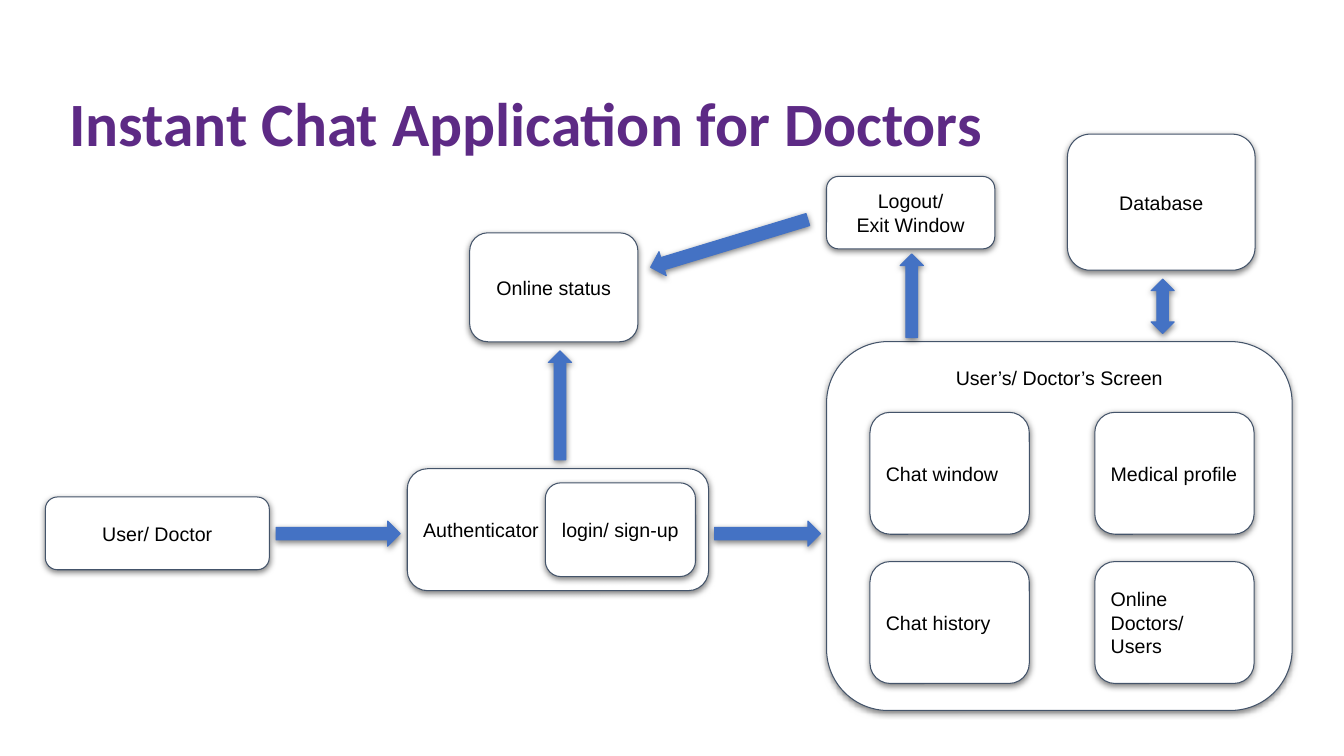
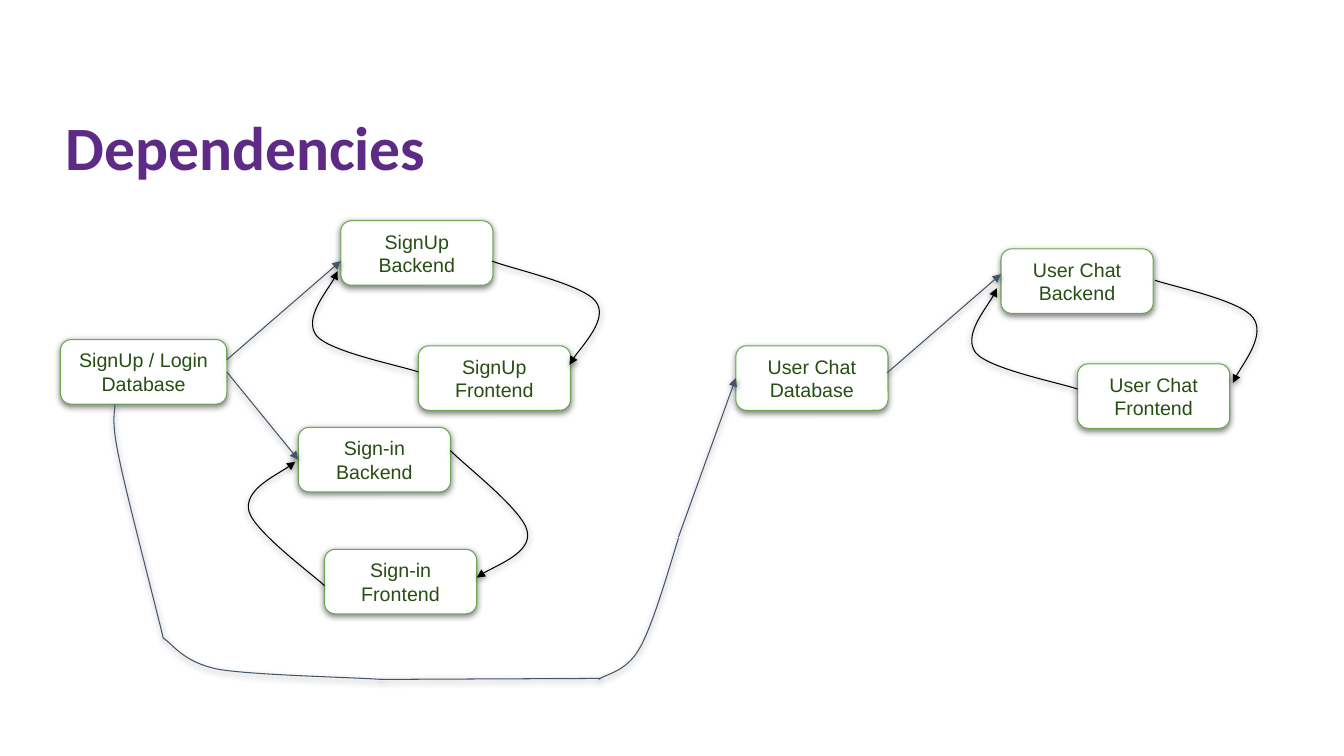
from lxml import etree
from pptx import Presentation
from pptx.dml.color import RGBColor
from pptx.enum.shapes import MSO_CONNECTOR, MSO_SHAPE
from pptx.enum.text import MSO_ANCHOR, PP_ALIGN
from pptx.oxml import parse_xml
from pptx.oxml.ns import nsdecls, qn
from pptx.util import Pt

LEFT, CENTER = PP_ALIGN.LEFT, PP_ALIGN.CENTER
TOP, MIDDLE, BOTTOM = MSO_ANCHOR.TOP, MSO_ANCHOR.MIDDLE, MSO_ANCHOR.BOTTOM
ROUNDED, RECTANGLE = MSO_SHAPE.ROUNDED_RECTANGLE, MSO_SHAPE.RECTANGLE
RIGHT_ARROW, LEFT_ARROW = MSO_SHAPE.RIGHT_ARROW, MSO_SHAPE.LEFT_ARROW
UP_ARROW, UP_DOWN_ARROW = MSO_SHAPE.UP_ARROW, MSO_SHAPE.UP_DOWN_ARROW
STRAIGHT = MSO_CONNECTOR.STRAIGHT
LEFT_SIDE, RIGHT_SIDE = 1, 3

WHITE, BLACK, PURPLE = "FFFFFF", "000000", "5D2A85"
SLATE, BLUE = "44546A", "4472C4"
GREEN, DARK_GREEN = "6AA84F", "274E13"

# Application slide: text, (left, top, width, height), alignment
SCREEN_PANEL = (590.4, 244, 332.6, 263.5)
SCREEN_CAPTION = ("User’s/ Doctor’s Screen", (632.2, 254.2, 249, 31.7))
APPLICATION_BOXES = [
    ("User/ Doctor", (32.4, 355, 160, 52), CENTER),
    ("Database", (762.5, 95.8, 134, 97.2), CENTER),
    ("Online status", (335.5, 166.3, 120.2, 77.8), CENTER),
    ("Logout/\nExit Window", (590.4, 126, 120.2, 51.8), CENTER),
]
AUTHENTICATOR_GROUP = [
    ("Authenticator", (290.9, 334.8, 215.3, 87.1), LEFT),
    ("login/ sign-up", (389.5, 344.9, 107.3, 67), CENTER),
]
SCREEN_PARTS = [
    ["Chat window", "Medical profile"],
    ["Chat history", "Online Doctors/\nUsers"],
]
PART_LEFT, PART_TOP, PART_WIDTH, PART_HEIGHT = 621.4, 294.5, 113.8, 87.1
PART_STEP_X, PART_STEP_Y = 160.6, 106.6
BLOCK_ARROWS = [
    (RIGHT_ARROW, (197.3, 372.2, 88.6, 18), 0),
    (UP_ARROW, (391.7, 250.6, 16.6, 77.8), 0),
    (RIGHT_ARROW, (510.5, 372.2, 75.6, 18), 0),
    (LEFT_ARROW, (462.2, 164.9, 117.4, 18), -16.9),
    (UP_ARROW, (643, 181.4, 16.6, 59.8), 0),
    (UP_DOWN_ARROW, (822.2, 199.4, 16.6, 38.9), 0),
]

# Dependencies slide: text, left, top, width
MODULE_WIDTH, MODULE_HEIGHT = 108.7, 46.1
MODULES = [
    ("SignUp Backend", 243.4, 157.7, MODULE_WIDTH),
    ("SignUp Frontend", 298.8, 247, MODULE_WIDTH),
    ("SignUp / Login Database", 43.2, 242.6, 118.8),
    ("Sign-in Backend", 213.1, 305.3, MODULE_WIDTH),
    ("Sign-in Frontend", 231.8, 392.4, MODULE_WIDTH),
    ("User Chat Backend", 715, 177.8, MODULE_WIDTH),
    ("User Chat Frontend", 769.7, 259.9, MODULE_WIDTH),
    ("User Chat Database", 525.6, 247, MODULE_WIDTH),
]
# Ends are points or (module, side); the flag asks for an arrowhead
STRAIGHT_LINKS = [
    ((162, 257), (243.4, 186.5), True),
    (("SignUp / Login Database", RIGHT_SIDE), ("Sign-in Backend", LEFT_SIDE), True),
    ((633.6, 266.4), (715, 195.8), True),
    ((271.4, 485.3), (429.1, 484.6), False),
    ((484.6, 383.8), ("User Chat Database", LEFT_SIDE), True),
]
# Start point, then three points for each cubic curve
SIGNUP_RETURN = [(298.8, 265.7), (286.6, 261.4), (235.4, 251.3), (226.1, 239.8),
                 (216.7, 227.5), (239, 201.6), (241.2, 193.7)]
CHAT_SHIFT_X, CHAT_SHIFT_Y = 470.9, 12.2
LOOP_CURVES = [
    SIGNUP_RETURN,
    [(x + CHAT_SHIFT_X, y + CHAT_SHIFT_Y) for x, y in SIGNUP_RETURN],
    [(351.4, 186.5), (363.6, 191.5), (416.2, 203), (425.5, 215.3),
     (434.9, 227.5), (410.4, 252.7), (406.8, 260.6)],
    [(825.1, 200.2), (837.4, 204.5), (886.3, 214.6), (895, 226.8),
     (904.3, 239), (883.4, 265.7), (880.6, 273.6)],
    [(231.8, 418.3), (222.5, 409.7), (181.4, 379.4), (177.8, 365),
     (174.2, 349.9), (205.2, 335.5), (211, 329.8)],
    [(321.8, 321.8), (330.5, 331.2), (373.7, 364.3), (376.6, 379.4),
     (380.2, 394.6), (347, 406.8), (340.6, 412.6)],
]
DATABASE_ROUTE_CURVES = [
    [(82.1, 288.7), (82.1, 295.2), (79.2, 299.5), (85, 326.9),
     (90.7, 355), (111.6, 434.2), (116.6, 455.8)],
    [(116.6, 455.8), (123.1, 459.4), (130.3, 473), (156.2, 478.1),
     (182.2, 482.4), (253.4, 483.8), (272.9, 485.3)],
    [(427.7, 485.3), (432, 481.7), (447.1, 480.2), (456.5, 463.7),
     (466.6, 447.1), (480.2, 398.2), (484.6, 384.5)],
]


def rgb(color):
    return RGBColor.from_string(color)


def points(values):
    return [Pt(value) for value in values]


def add_shadow(shape):
    """Append a soft downward shadow; call it after fill and line are set."""
    shape._element.spPr.append(parse_xml(
        f'<a:effectLst {nsdecls("a")}>'
        f'<a:outerShdw blurRad="{Pt(4.5)}" dist="{Pt(1.5)}" dir="5400000" algn="bl" rotWithShape="0">'
        f'<a:srgbClr val="{BLACK}"><a:alpha val="50000"/></a:srgbClr>'
        '</a:outerShdw></a:effectLst>'))


def style_line(shape, color, arrowhead=False):
    shape.line.color.rgb = rgb(color)
    shape.line.width = Pt(0.75)
    if arrowhead:
        outline = shape._element.spPr.find(qn("a:ln"))
        etree.SubElement(outline, qn("a:tailEnd"), type="triangle")
    add_shadow(shape)


def set_text(shape, text, font_name, size, color, alignment, anchor, inset_y, bold=False):
    frame = shape.text_frame
    frame.word_wrap = True
    frame.vertical_anchor = anchor
    frame.margin_left = frame.margin_right = Pt(7.2)
    frame.margin_top = frame.margin_bottom = Pt(inset_y)
    frame.text = text
    for paragraph in frame.paragraphs:
        paragraph.alignment = alignment
        paragraph.font.name = font_name
        paragraph.font.size = Pt(size)
        paragraph.font.bold = bold
        paragraph.font.color.rgb = rgb(color)


def set_label(shape, text, color=BLACK, alignment=CENTER, anchor=MIDDLE):
    set_text(shape, text, "Arial", 14, color, alignment, anchor, 7.2)


def add_titled_slide(presentation, title, bounds):
    slide = presentation.slides.add_slide(presentation.slide_layouts[6])
    title_box = slide.shapes.add_textbox(*points(bounds))
    set_text(title_box, title, "Calibri", 44, PURPLE, LEFT, BOTTOM, 3.6, bold=True)
    title_box.text_frame.paragraphs[0].line_spacing = 0.9
    return slide


def add_solid(shapes, kind, bounds, fill, line):
    shape = shapes.add_shape(kind, *points(bounds))
    shape.fill.solid()
    shape.fill.fore_color.rgb = rgb(fill)
    style_line(shape, line)
    return shape


def add_box(shapes, text, bounds, alignment=CENTER, line=SLATE, color=BLACK):
    box = add_solid(shapes, ROUNDED, bounds, WHITE, line)
    set_label(box, text, color, alignment)
    return box


def add_curve(shapes, curve, color, arrowhead=False):
    """Draw the control points as a freeform and turn each three segments into a cubic."""
    start, *controls = [points(point) for point in curve]
    builder = shapes.build_freeform(*start)
    builder.add_line_segments(controls, close=False)
    shape = builder.convert_to_shape()
    outline = shape._element.spPr.find(".//" + qn("a:path"))
    segments = outline.findall(qn("a:lnTo"))
    for first in range(0, len(segments), 3):
        cubic = etree.SubElement(outline, qn("a:cubicBezTo"))
        for segment in segments[first:first + 3]:
            cubic.append(segment[0])
            outline.remove(segment)
    shape.fill.background()
    style_line(shape, color, arrowhead)


def add_link(shapes, modules, start, end, arrowhead):
    connector = shapes.add_connector(STRAIGHT, 0, 0, 0, 0)
    if start[0] in modules:
        connector.begin_connect(modules[start[0]], start[1])
    else:
        connector.begin_x, connector.begin_y = points(start)
    if end[0] in modules:
        connector.end_connect(modules[end[0]], end[1])
    else:
        connector.end_x, connector.end_y = points(end)
    style_line(connector, SLATE, arrowhead)


def build_application_slide(presentation):
    slide = add_titled_slide(presentation, "Instant Chat Application for Doctors",
                             (42.5, 31, 828, 87))
    shapes = slide.shapes
    add_solid(shapes, ROUNDED, SCREEN_PANEL, WHITE, SLATE)
    for text, bounds, alignment in APPLICATION_BOXES:
        add_box(shapes, text, bounds, alignment)
    group = shapes.add_group_shape()
    for text, bounds, alignment in AUTHENTICATOR_GROUP:
        add_box(group.shapes, text, bounds, alignment)
    for row, names in enumerate(SCREEN_PARTS):
        for column, name in enumerate(names):
            bounds = (PART_LEFT + column * PART_STEP_X, PART_TOP + row * PART_STEP_Y,
                      PART_WIDTH, PART_HEIGHT)
            add_box(shapes, name, bounds, LEFT)
    text, bounds = SCREEN_CAPTION
    caption = shapes.add_shape(RECTANGLE, *points(bounds))
    caption.shadow.inherit = False
    caption.fill.solid()
    caption.fill.fore_color.rgb = rgb(WHITE)
    caption.line.fill.background()
    set_label(caption, text, anchor=TOP)
    for kind, bounds, rotation in BLOCK_ARROWS:
        add_solid(shapes, kind, bounds, BLUE, BLUE).rotation = rotation


def build_dependencies_slide(presentation):
    slide = add_titled_slide(presentation, "Dependencies", (39.6, 30.2, 828, 104.4))
    shapes = slide.shapes
    modules = {
        text: add_box(shapes, text, (left, top, width, MODULE_HEIGHT),
                      line=GREEN, color=DARK_GREEN)
        for text, left, top, width in MODULES
    }
    for start, end, arrowhead in STRAIGHT_LINKS:
        add_link(shapes, modules, start, end, arrowhead)
    for curve in LOOP_CURVES:
        add_curve(shapes, curve, BLACK, arrowhead=True)
    for curve in DATABASE_ROUTE_CURVES:
        add_curve(shapes, curve, SLATE)


def main():
    presentation = Presentation()
    presentation.slide_width, presentation.slide_height = Pt(960), Pt(540)
    build_application_slide(presentation)
    build_dependencies_slide(presentation)
    presentation.save("out.pptx")


if __name__ == "__main__":
    main()
